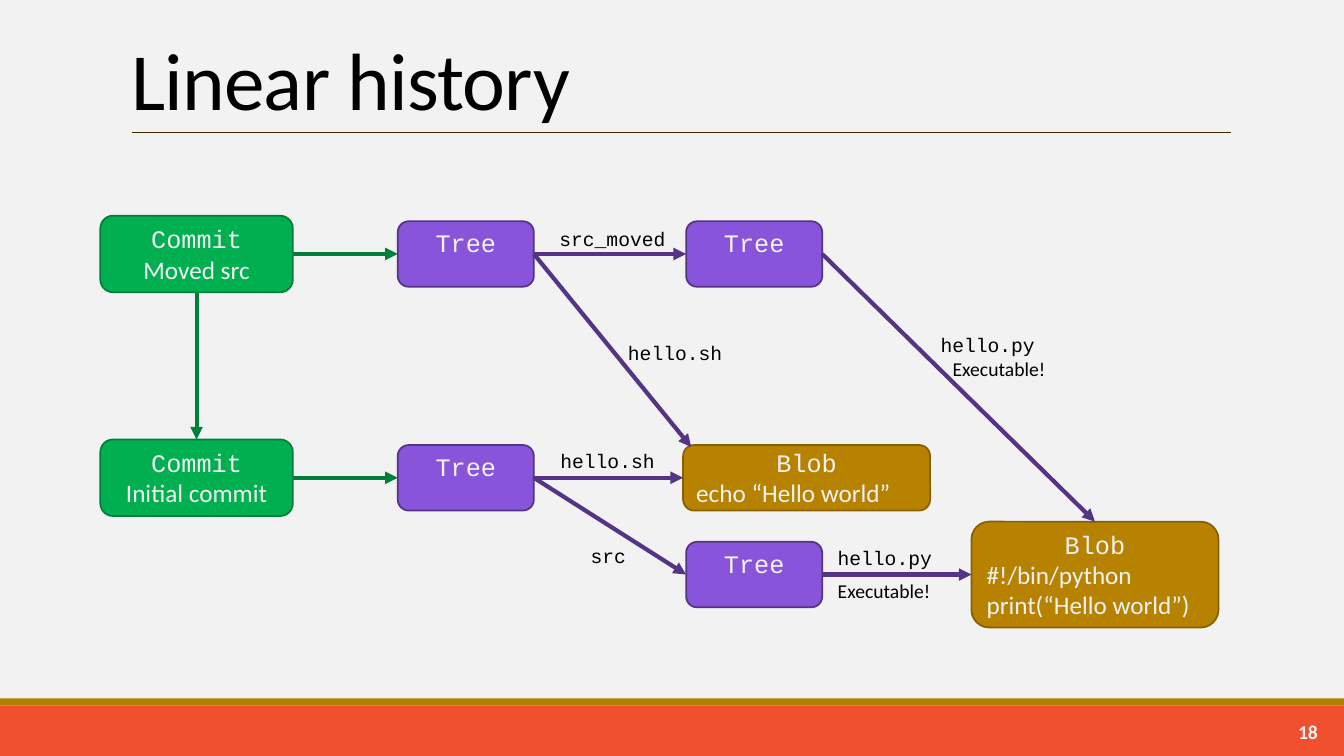
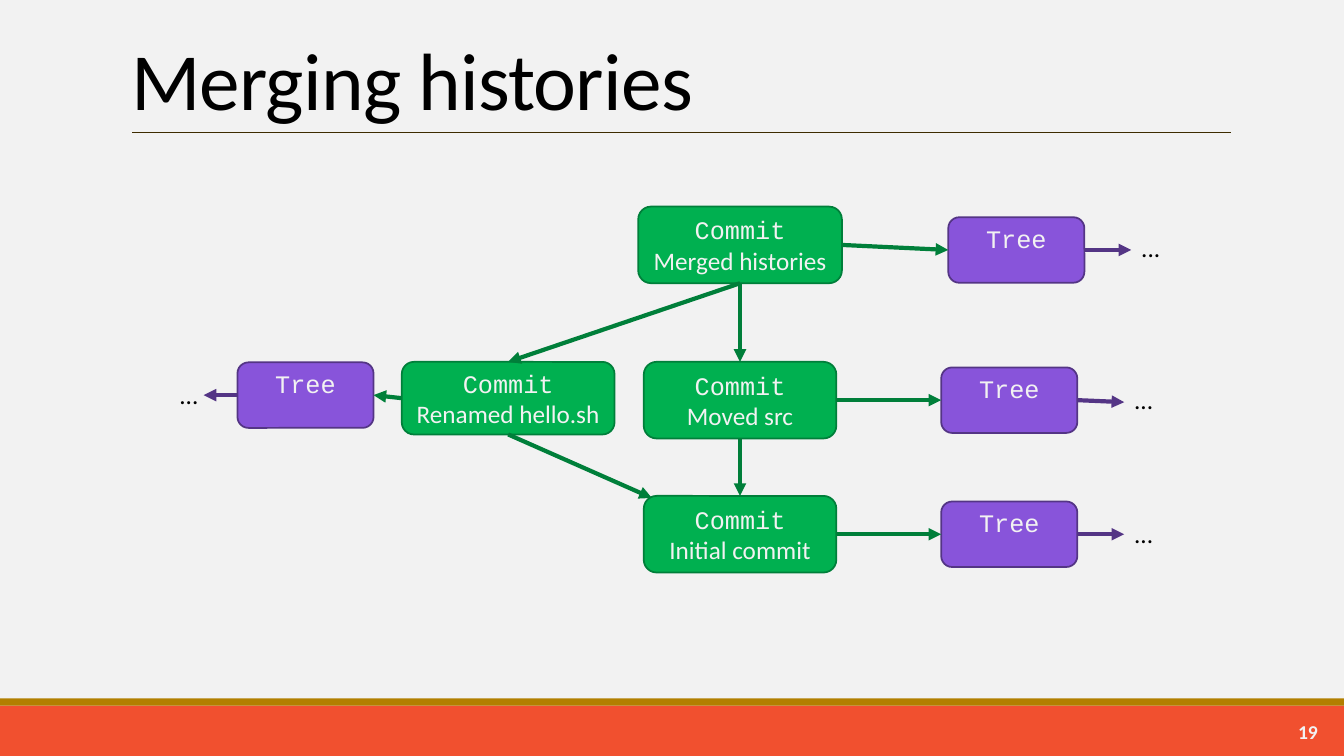
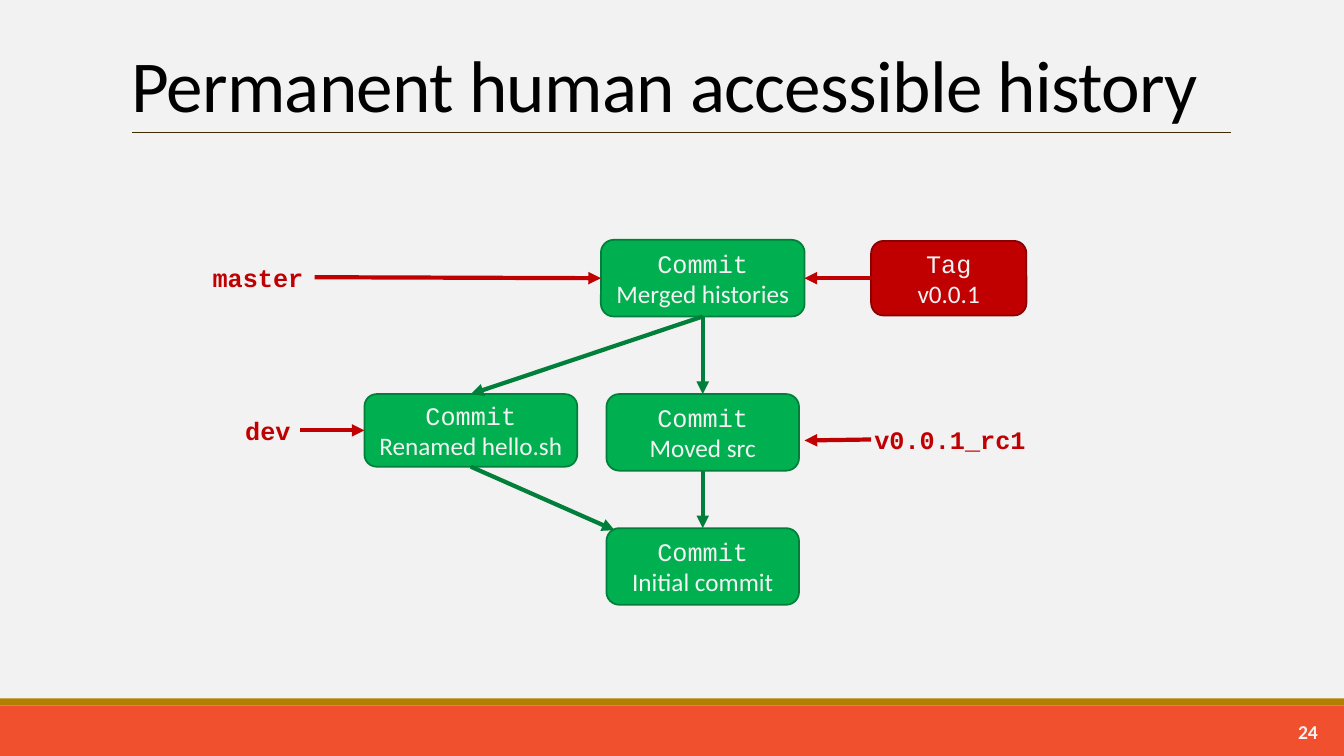
"""Build three slides that draw commit histories as graphs."""
import pptx
import pptx.util
import pptx.dml.color
import pptx.enum.shapes
import pptx.enum.text
import pptx.oxml.ns
import lxml.etree

Inch, Pt = pptx.util.Inches, pptx.util.Pt
Align, Anchor = pptx.enum.text.PP_ALIGN, pptx.enum.text.MSO_ANCHOR
Form = pptx.enum.shapes.MSO_SHAPE
WIDE, HIGH = 13.33, 7.5
SANS, MONO = "Calibri", "Courier New"
HUES = {
    "page": "F2F2F2", "band": "F1502F", "strip": "B27F00", "rule": "3E2C00",
    "ink": "000000", "green": "00B050", "pine": "007F3A", "gold": "B68200",
    "brown": "876000", "violet": "8854DA", "plum": "543585", "red": "C00000",
    "wine": "8A0001",
}
KINDS = {
    "Commit": ("green", "pine", 1.91, 0.76),
    "Tree": ("violet", "plum", 1.35, 0.65),
    "Blob": ("gold", "brown", 2.45, 0.65),
    "Tag": ("red", "wine", 1.54, 0.74),
}
SIZES = {"merged": (2.02, 0.76), "renamed": (2.11, 0.72), "script": (2.45, 1.05)}
STYLES = {
    "code": (MONO, 14, "ink", False, Align.LEFT),
    "note": (SANS, 14, "ink", False, Align.LEFT),
    "dots": (SANS, 18, "ink", False, Align.LEFT),
    "ref": (MONO, 18, "red", True, Align.LEFT),
    "ref end": (MONO, 18, "red", True, Align.RIGHT),
}
SIDES = {"t": (0, 0.5, 0), "l": (1, 0, 0.5), "b": (2, 0.5, 1), "r": (3, 1, 0.5)}

PAST = {
    "initial": ("Commit", "b3", ["Initial commit"]),
    "moved": ("Commit", "b2", ["Moved src"]),
    "renamed": ("Commit", "a4", ["Renamed hello.sh"]),
    "merged": ("Commit", "b1", ["Merged histories"]),
}
LINKS = [
    ("moved.b", "initial.t", "pine"), ("renamed.b", "initial.c", "pine"),
    ("merged.b", "moved.t", "pine"), ("merged.b", "renamed.t", "pine"),
]
DECK = [
    {
        "title": "Linear history", "size": 58, "page": "18",
        "cols": (1.95, 4.62, 7.48, 8, 10.86), "rows": (2.52, 4.74, 5.7),
        "nodes": {
            "echo": ("Blob", "d2", ["echo “Hello world”"]),
            "script": ("Blob", "e3", ["#!/bin/python", "print(“Hello world”)"]),
            "old": ("Tree", "b2", []), "src": ("Tree", "c3", []),
            "new": ("Tree", "b1", []), "dir": ("Tree", "c1", []),
            "initial": ("Commit", "a2", ["Initial commit"]),
            "moved": ("Commit", "a1", ["Moved src"]),
        },
        "links": [
            ("old.r", "echo.l", "plum"), ("old.r", "src.l", "plum"),
            ("src.r", "script.l", "plum"), ("new.r", "echo.c", "plum"),
            ("new.r", "dir.l", "plum"), ("dir.r", "script.t", "plum"),
            ("initial.r", "old.l", "pine"), ("moved.r", "new.l", "pine"),
            ("moved.b", "initial.t", "pine"),
        ],
        "notes": [
            ("hello.sh", "code", 5.46, 4.4, 1.15), ("src", "code", 5.76, 5.35, 0.6),
            ("hello.py", "code", 8.21, 5.37, 1.15), ("Executable!", "note", 8.21, 5.69, 1.15),
            ("hello.sh", "code", 6.13, 3.33, 1.15), ("src_moved", "code", 5.45, 2.2, 1.33),
            ("hello.py", "code", 9.23, 3.25, 1.15), ("Executable!", "note", 9.35, 3.49, 1.15),
        ],
    },
    {
        "title": "Merging histories", "size": 58, "page": "19",
        "cols": (5.04, 7.34, 10.01, 10.08, 3.03), "rows": (2.43, 3.97, 5.3, 3.95, 3.92, 2.48),
        "nodes": PAST | {
            "low": ("Tree", "c3", []), "mid": ("Tree", "c2", []),
            "far": ("Tree", "e5", []), "high": ("Tree", "d6", []),
        },
        "links": LINKS + [
            ("initial.r", "low.l", "pine"), ("moved.r", "mid.l", "pine"),
            ("renamed.l", "far.r", "pine"), ("merged.r", "high.l", "pine"),
            ("low.r", (11.15, 5.3), "plum"), ("mid.r", (11.15, 3.99), "plum"),
            ("far.l", (2.02, 3.92), "plum"), ("high.r", (11.22, 2.48), "plum"),
        ],
        "notes": [
            ("...", "dots", 11.15, 3.76, 1.05), ("...", "dots", 11.15, 5.09, 1.05),
            ("...", "dots", 1.68, 3.71, 1.05), ("...", "dots", 11.22, 2.26, 1.05),
        ],
    },
    {
        "title": "Permanent human accessible history", "size": 52.2, "page": "24",
        "cols": (4.67, 6.97, 9.41), "rows": (2.76, 4.29, 5.62, 4.27),
        "nodes": PAST | {"tag": ("Tag", "c1", ["v0.0.1"])},
        "links": LINKS + [
            ((3.12, 2.75), "merged.l", "red"), ((2.98, 4.27), "renamed.l", "red"),
            ((8.64, 4.36), (7.98, 4.37), "red"), ("tag.l", "merged.r", "red"),
        ],
        "notes": [
            ("master", "ref", 2.01, 2.55, 1.11), ("dev", "ref end", 1.87, 4.07, 1.11),
            ("v0.0.1_rc1", "ref end", 7.98, 4.16, 2.29),
        ],
    },
]


def hue(name):
    return pptx.dml.color.RGBColor.from_string(HUES[name])


def write(para, text, face, size, tint, bold=False, align=Align.LEFT):
    para.alignment = align
    run = para.add_run()
    run.text = text
    font = run.font
    font.name, font.size, font.bold = face, Pt(size), bold
    font.color.rgb = hue(tint)
    return run


def block(slide, form, box, fill, edge=None):
    shape = slide.shapes.add_shape(form, *map(Inch, box))
    shape.shadow.inherit = False
    shape.fill.solid()
    shape.fill.fore_color.rgb = hue(fill)
    if edge:
        shape.line.color.rgb = hue(edge)
        shape.line.width = Pt(1.25)
    else:
        shape.line.fill.background()
    return shape


def stroke(slide, start, stop, tint, width):
    line = slide.shapes.add_connector(
        pptx.enum.shapes.MSO_CONNECTOR.STRAIGHT, *map(Inch, start + stop))
    line.line.color.rgb = hue(tint)
    line.line.width = Pt(width)
    lxml.etree.SubElement(line.element.spPr, pptx.oxml.ns.qn("a:effectLst"))
    return line


def label(slide, text, style, left, top, width, high=0.4):
    face, size, tint, bold, align = style
    frame = slide.shapes.add_textbox(*map(Inch, (left, top, width, high))).text_frame
    frame.word_wrap = True
    write(frame.paragraphs[0], text, face, size, tint, bold, align)
    return frame


def node(slide, key, kind, x, y, lines):
    fill, edge, wide, high = KINDS[kind]
    wide, high = SIZES.get(key, (wide, high))
    shape = block(slide, Form.ROUNDED_RECTANGLE,
                  (x - wide / 2, y - high / 2, wide, high), fill, edge)
    frame = shape.text_frame
    frame.word_wrap = True
    frame.vertical_anchor = Anchor.MIDDLE
    if not lines:
        frame.vertical_anchor = Anchor.TOP
        frame.margin_top = Inch(0.03)
    write(frame.paragraphs[0], kind, MONO, 18, "page", align=Align.CENTER)
    align = Align.LEFT if kind == "Blob" else Align.CENTER
    for text in lines:
        write(frame.add_paragraph(), text, SANS, 18, "page", align=align)
    return shape


def locate(end, made):
    """Return the point of an arrow end, with its shape and site if glued."""
    if isinstance(end, tuple):
        return end, None
    key, side = end.split(".")
    shape = made[key]
    left, top = shape.left.inches, shape.top.inches
    if side == "c":
        return (left + 0.08, top + 0.02), None
    site, across, down = SIDES[side]
    spot = (left + shape.width.inches * across, top + shape.height.inches * down)
    return spot, (shape, site)


def arrow(slide, start, stop, tint, made):
    (tip, first), (end, last) = locate(start, made), locate(stop, made)
    line = stroke(slide, tip, end, tint, 3)
    if first:
        line.begin_connect(*first)
    if last:
        line.end_connect(*last)
    lxml.etree.SubElement(line.line._get_or_add_ln(),
                          pptx.oxml.ns.qn("a:tailEnd"), type="triangle")


def dress(layout, slide):
    """Set the shared background, title place and bands on the layout."""
    back = layout.background.fill
    back.solid()
    back.fore_color.rgb = hue("page")
    title = layout.placeholders[0]
    title.left, title.top, title.width, title.height = map(Inch, (1.2, 0.25, 11, 1.06))
    title.text_frame.vertical_anchor = Anchor.BOTTOM
    title.text_frame.auto_size = pptx.enum.text.MSO_AUTO_SIZE.NONE
    parts = [
        block(slide, Form.RECTANGLE, (0, 7, WIDE, 0.5), "band"),
        block(slide, Form.RECTANGLE, (0, 6.93, WIDE, 0.07), "strip"),
        stroke(slide, (1.31, 1.31), (12.21, 1.31), "rule", 0.5),
    ]
    for part in parts:
        layout.shapes.element.append(part.element)


def draw(slide, data):
    para = slide.shapes.title.text_frame.paragraphs[0]
    para.line_spacing = 0.85
    run = write(para, data["title"], SANS, data["size"], "ink")
    run._r.get_or_add_rPr().set("spc", "-50")
    style = (SANS, 14, "page", True, Align.RIGHT)
    label(slide, data["page"], style, 11.74, 7.06, 1.43).vertical_anchor = Anchor.MIDDLE
    cols, rows = dict(zip("abcde", data["cols"])), dict(zip("123456", data["rows"]))
    made = {}
    for key, (kind, (col, row), lines) in data["nodes"].items():
        made[key] = node(slide, key, kind, cols[col], rows[row], lines)
    for start, stop, tint in data["links"]:
        arrow(slide, start, stop, tint, made)
    for text, style, left, top, width in data["notes"]:
        label(slide, text, STYLES[style], left, top, width)


deck = pptx.Presentation()
deck.slide_width, deck.slide_height = Inch(WIDE), Inch(HIGH)
plain = deck.slide_layouts[5]
slides = [deck.slides.add_slide(plain) for data in DECK]
dress(plain, slides[0])
for slide, data in zip(slides, DECK):
    draw(slide, data)
deck.save("out.pptx")
